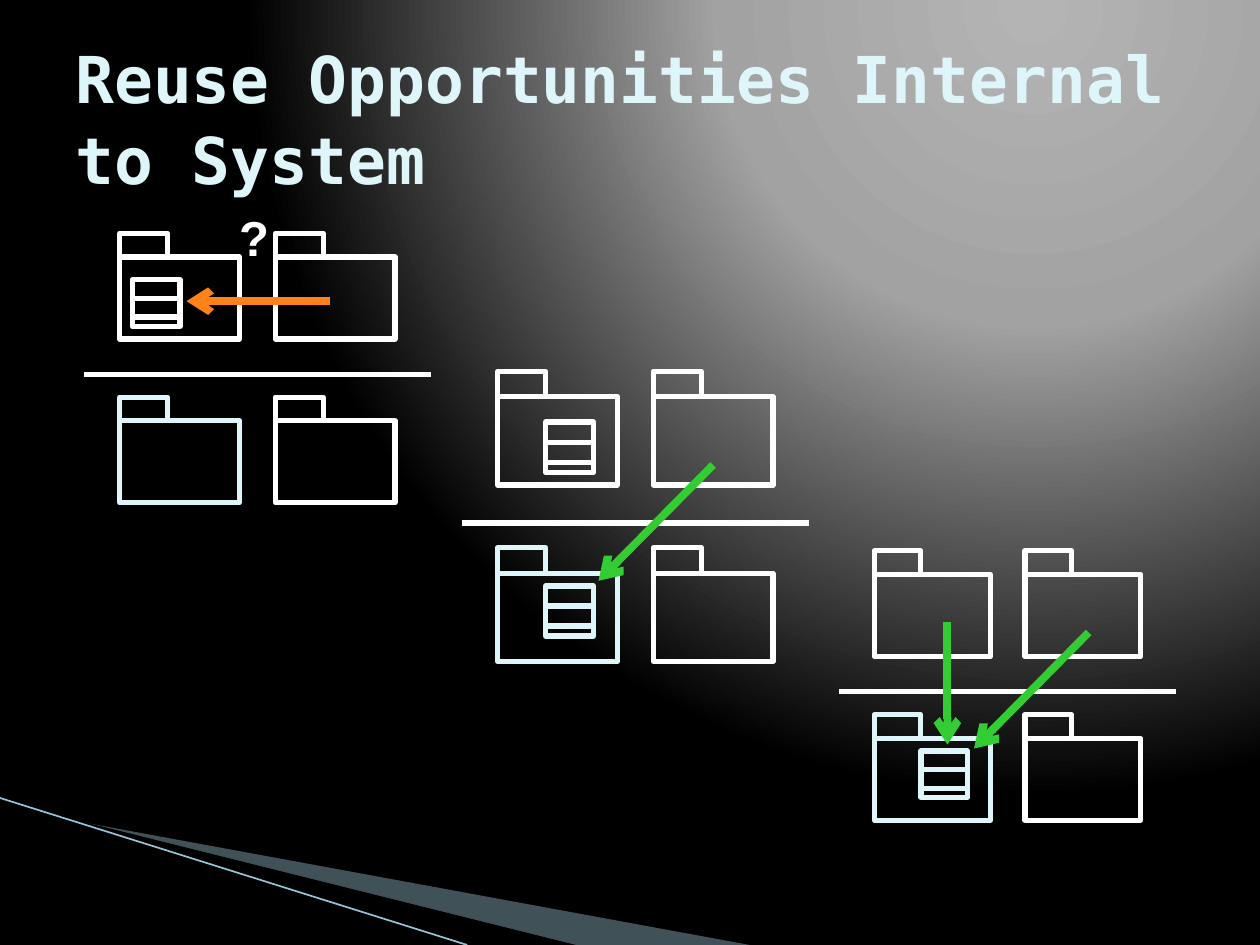
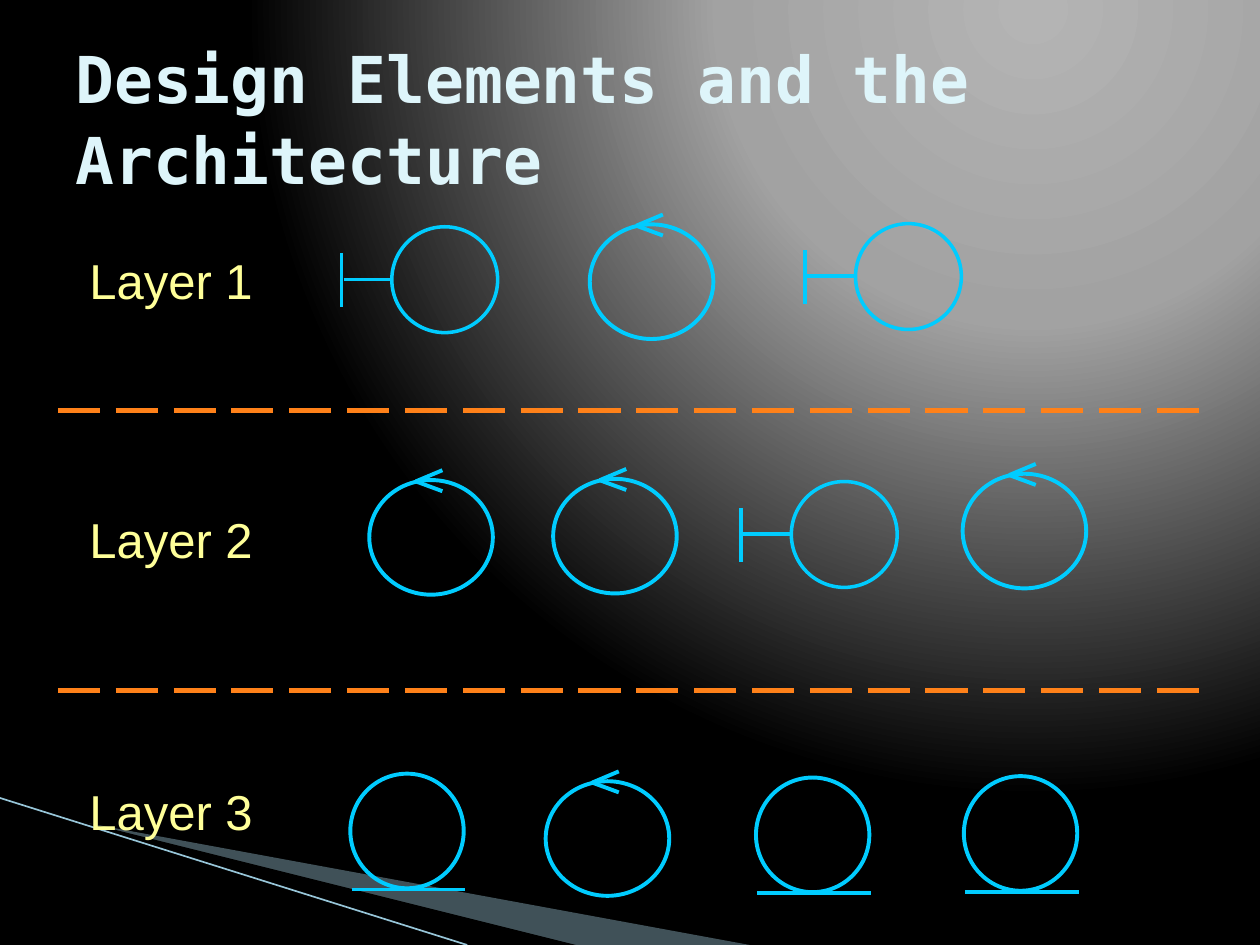
from dataclasses import dataclass

from lxml import etree
from pptx import Presentation
from pptx import util as u
from pptx.dml.color import RGBColor
from pptx.enum import dml, shapes, text
from pptx.oxml import ns, parse_xml


@dataclass(frozen=True)
class Theme:
    glow: tuple = ((0, "B4B4B4"), (40, "A2A2A2"), (100, "000000"))
    wedge: str = "A0CBDC"
    wedge_alpha: int = 40
    shade: str = "000000"
    edge: str = "97C5D8"
    title: str = "DEF5FA"
    plain: str = "FFFFFF"
    shared: str = "DEF5FA"
    doubtful: str = "FF8119"
    reuse: str = "33CC33"
    label: str = "FFFF99"
    symbol: str = "00CCFF"
    title_font: str = "DejaVu Sans Mono"
    body_font: str = "Arial"
    title_size: float = 36.9
    body_size: float = 28
    outline: float = 3
    arrow: float = 4.5
    hairline: float = 0.95


THEME = Theme()
WIDTH, HEIGHT = 720, 540

WEDGE = [(39.6, 468.5), (428.4, 540), (328.3, 540), (39.6, 468)]
SHADE = [(38.2, 467.3), (329, 540), (267.8, 540), (38.9, 468)]
EDGE = ((0, 456), (267, 540))

REUSE_TITLE = "Reuse Opportunities Internal to System"
PANELS = [
    {
        "left": 68.4, "top": 146.9, "width": 68.4, "height": 46.8,
        "cards": [(0, 7.2, 13)],
        "arrows": [((188.6, 172.1), (106.6, 172.1), THEME.doubtful)],
        "question": ("?", (129.6, 115, 88.6, 41)),
    },
    {
        "left": 284.4, "top": 226.8, "width": 68.4, "height": 50.4,
        "cards": [(0, 27.4, 14.4), (1, 27.4, 7.2)],
        "arrows": [((407.5, 265.7), (342, 331.9), THEME.reuse)],
    },
    {
        "left": 499.7, "top": 328.3, "width": 66.2, "height": 46.8,
        "cards": [(1, 26.6, 7.2)],
        "arrows": [
            ((622.1, 361.4), (556.6, 427.7), THEME.reuse),
            ((541.4, 355.7), (541.4, 425.5), THEME.reuse),
        ],
    },
]

LAYER_TITLE = "Design Elements and the Architecture"
LAYERS = [
    ("Layer 1", 139, [("boundary", 223.9, 129.6), ("control", 337, 128.2),
                      ("boundary", 488.9, 127.8)]),
    ("Layer 2", 286.6, [("control", 211, 274.3), ("control", 316.1, 273.6),
                        ("boundary", 452.2, 275.2), ("control", 550.1, 270.7)]),
    ("Layer 3", 442.1, [("entity", 200.2, 442.1), ("control", 311.8, 446.4),
                        ("entity", 432, 444.3), ("entity", 550.8, 443.5)]),
]
DIVIDERS = [234.7, 394.6]

SYMBOLS = {
    "boundary": ((60.5, 60.5), 2,
                 [((-28.8, 15.1), (-28.8, 46.1)), ((-27.6, 30), (0, 30))]),
    "control": ((70.6, 65.5), 2.25,
                [((41.8, -5.6), (26.6, 0.8)), ((41.8, 6.4), (26.6, 0.8))]),
    "entity": ((64.8, 65.5), 2.25, [((0.8, 66.2), (65.7, 66.2))]),
}


def points(*values):
    return [u.Pt(value) for value in values]


def colour(code):
    return RGBColor.from_string(code)


def add_line(target, start, end, code, width, arrow=False, dash=None):
    line = target.add_connector(
        shapes.MSO_CONNECTOR.STRAIGHT, *points(*start, *end))
    line.line.color.rgb = colour(code)
    line.line.width = u.Pt(width)
    if dash:
        line.line.dash_style = dash
    if arrow:
        etree.SubElement(line.get_or_add_ln(), ns.qn("a:tailEnd"), type="arrow")
    etree.SubElement(line.element.spPr, ns.qn("a:effectLst"))


def add_outline(target, kind, frame, code, width):
    outline = target.add_shape(kind, *points(*frame))
    outline.shadow.inherit = False
    outline.fill.background()
    outline.line.color.rgb = colour(code)
    outline.line.width = u.Pt(width)


def add_text(target, words, frame, font, size, code, bold=False,
             inset=(7.2, 3.6), wrap=True, spacing=None,
             anchor=text.MSO_ANCHOR.TOP):
    box = target.add_textbox(*points(*frame)).text_frame
    box.word_wrap = wrap
    box.vertical_anchor = anchor
    box.margin_left = box.margin_right = u.Pt(inset[0])
    box.margin_top = box.margin_bottom = u.Pt(inset[1])
    para = box.paragraphs[0]
    para.text = words
    para.line_spacing = spacing
    para.font.name = font
    para.font.size = u.Pt(size)
    para.font.bold = bold
    para.font.color.rgb = colour(code)


def add_polygon(target, corners, code, alpha=None):
    first, *rest = [points(*corner) for corner in corners]
    builder = target.build_freeform(*first, scale=1.0)
    builder.add_line_segments(rest, close=True)
    polygon = builder.convert_to_shape()
    polygon.shadow.inherit = False
    polygon.line.fill.background()
    polygon.fill.solid()
    polygon.fill.fore_color.rgb = colour(code)
    if alpha:
        tint = polygon.element.spPr.find(".//" + ns.qn("a:srgbClr"))
        etree.SubElement(tint, ns.qn("a:alpha"), val=str(alpha * 1000))


def add_background(page):
    stops = "".join(
        f'<a:gs pos="{place * 1000}"><a:srgbClr val="{code}"/></a:gs>'
        for place, code in THEME.glow)
    background = parse_xml(
        f'<p:bg {ns.nsdecls("p", "a")}><p:bgPr><a:gradFill rotWithShape="1">'
        f'<a:gsLst>{stops}</a:gsLst><a:path path="circle">'
        '<a:fillToRect l="65000" t="0" r="0" b="98000"/></a:path>'
        '</a:gradFill><a:effectLst/></p:bgPr></p:bg>')
    page.element.find(ns.qn("p:cSld")).insert(0, background)


def add_page(deck, title):
    page = deck.slides.add_slide(deck.slide_layouts[6])
    add_background(page)
    add_polygon(page.shapes, WEDGE, THEME.wedge, THEME.wedge_alpha)
    add_polygon(page.shapes, SHADE, THEME.shade)
    add_line(page.shapes, *EDGE, THEME.edge, THEME.hairline)
    add_text(page.shapes, title, (36, 21.6, 648, 90), THEME.title_font,
             THEME.title_size, THEME.title, bold=True, spacing=1.04,
             anchor=text.MSO_ANCHOR.MIDDLE)
    return page


def add_rectangle(target, frame, code):
    add_outline(target, shapes.MSO_SHAPE.RECTANGLE, frame, code, THEME.outline)


def add_folder(target, left, top, width, height, code):
    tab = 0.29 * height
    add_rectangle(target, (left, top, width, height), code)
    add_rectangle(target, (left, top - tab, 0.4 * width, tab), code)


def add_card(target, left, top, width, height, code):
    band = 0.4 * height
    add_rectangle(target, (left, top, width, height), code)
    add_rectangle(target, (left, top + band, width, band), code)


def add_panel(page, panel):
    target = page.shapes.add_group_shape().shapes
    left, top = panel["left"], panel["top"]
    width, height = panel["width"], panel["height"]
    rule = top + 1.43 * height
    add_line(target, (left - 20.3, rule), (left + 2.3 * width + 20.3, rule),
             THEME.plain, THEME.outline)
    for row in range(2):
        for column in range(2):
            code = THEME.shared if (row, column) == (1, 0) else THEME.plain
            add_folder(target, left + column * 1.3 * width,
                       top + row * 2 * height, width, height, code)
    for row, across, down in panel["cards"]:
        add_card(target, left + across, top + row * 2 * height + down,
                 0.4 * width, 0.57 * height,
                 THEME.shared if row else THEME.plain)
    for start, end, code in panel["arrows"]:
        add_line(target, start, end, code, THEME.arrow, arrow=True)
    if "question" in panel:
        add_text(target, *panel["question"], THEME.body_font, THEME.body_size,
                 THEME.plain, bold=True)


def add_symbol(page, kind, left, top):
    target = page.shapes.add_group_shape().shapes
    size, width, strokes = SYMBOLS[kind]
    add_outline(target, shapes.MSO_SHAPE.OVAL, (left, top, *size),
                THEME.symbol, width)
    for stroke in strokes:
        start, end = [(left + x, top + y) for x, y in stroke]
        add_line(target, start, end, THEME.symbol, width)


deck = Presentation()
deck.slide_width, deck.slide_height = points(WIDTH, HEIGHT)

reuse_page = add_page(deck, REUSE_TITLE)
for panel in PANELS:
    add_panel(reuse_page, panel)

layer_page = add_page(deck, LAYER_TITLE)
for y in DIVIDERS:
    add_line(layer_page.shapes, (33.1, y), (691.2, y), THEME.doubtful,
             THEME.outline, dash=dml.MSO_LINE.LONG_DASH)
for label, top, symbols in LAYERS:
    add_text(layer_page.shapes, label, (43.2, top, 109.4, 41.8),
             THEME.body_font, THEME.body_size, THEME.label,
             inset=(7.9, 4.3), wrap=False)
    for symbol in symbols:
        add_symbol(layer_page, *symbol)

deck.save("out.pptx")
